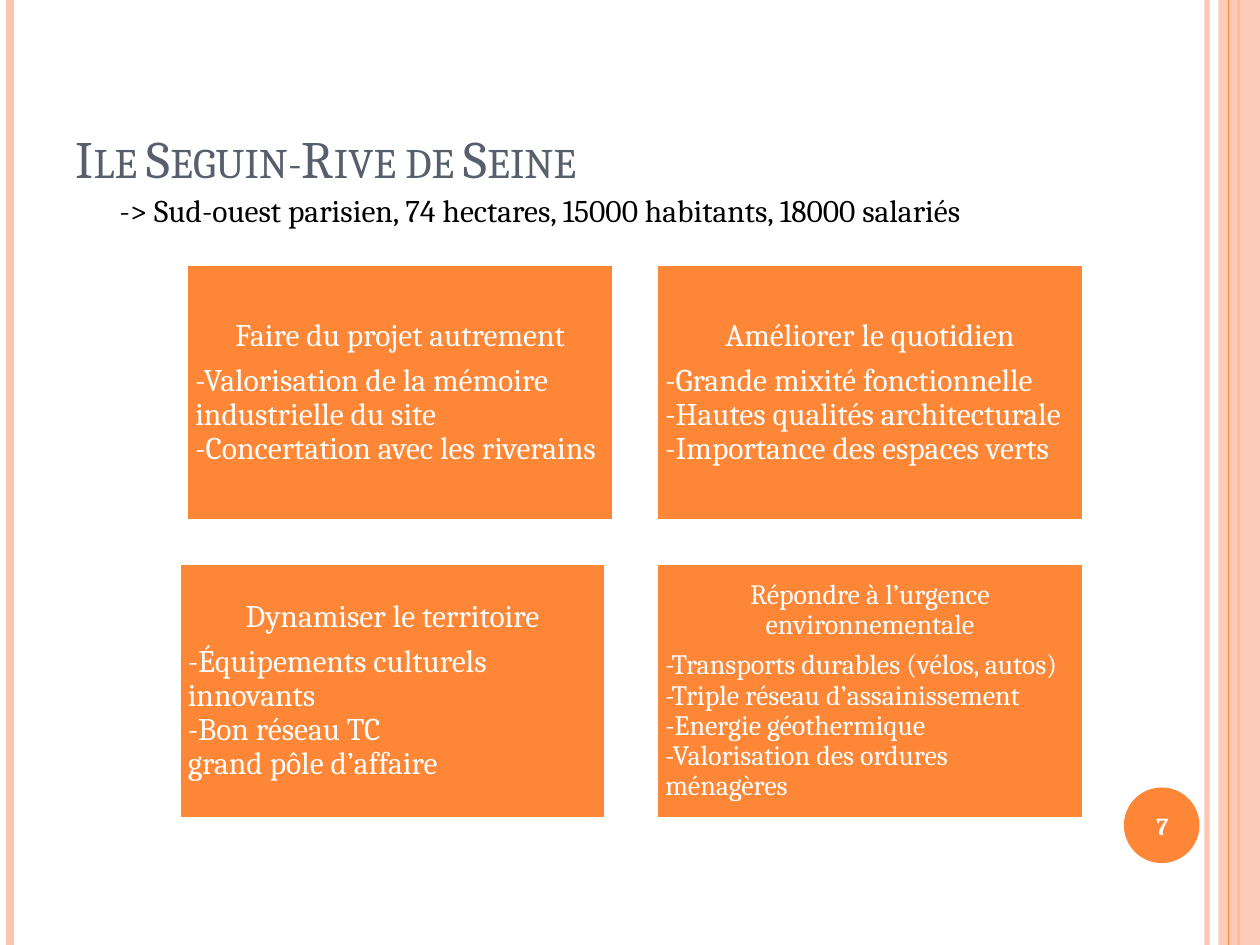
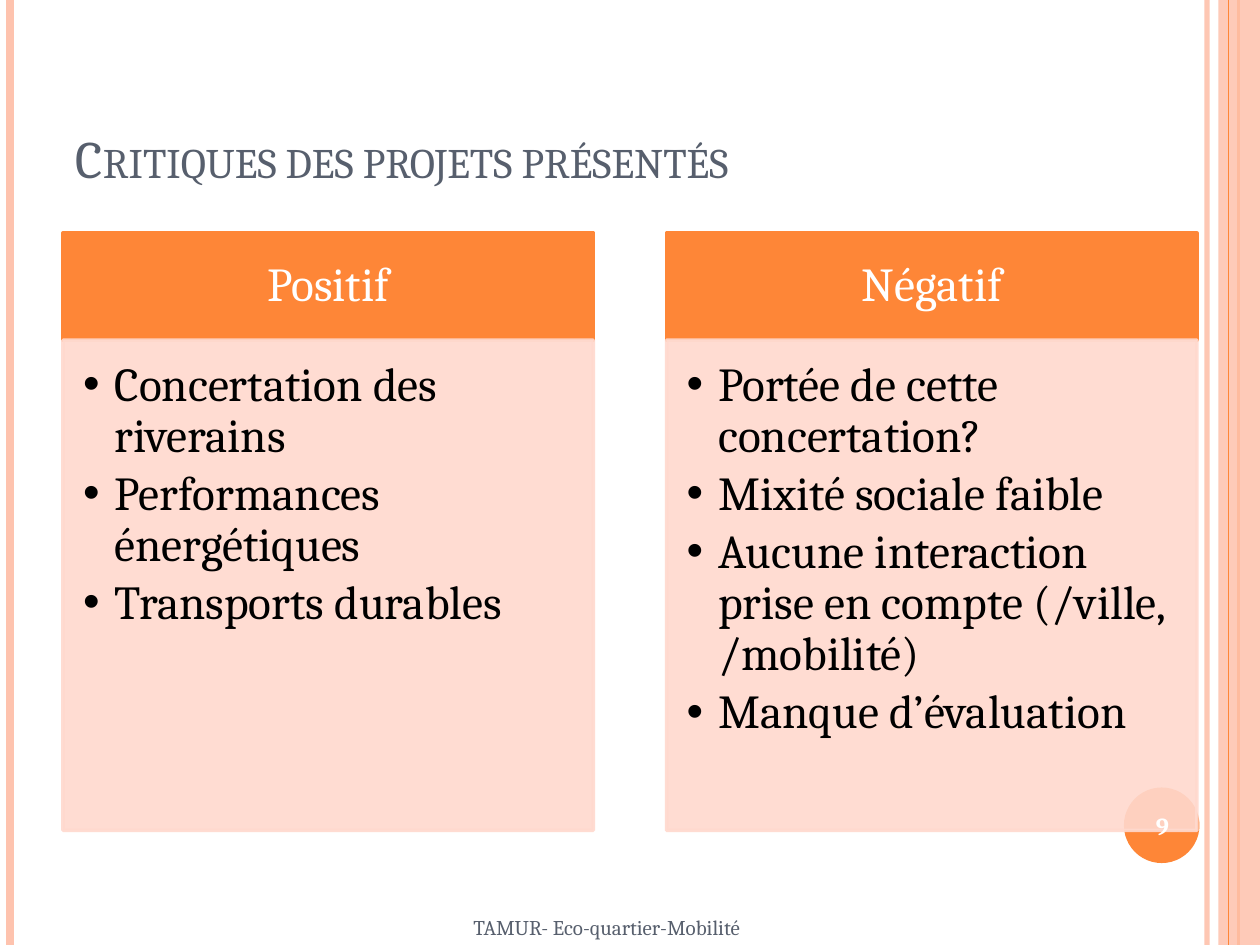
from lxml import etree
from pptx import Presentation
from pptx import util as u
from pptx.dml.color import RGBColor
from pptx.enum import shapes, text
from pptx.oxml.ns import qn

# Content
GOALS = {
    "title": "Ile Seguin-Rive de Seine",
    "summary": "-> Sud-ouest parisien, 74 hectares, 15000 habitants, 18000 salariés",
    "page": "7",
    # heading, details, text size, column, row, shift to the right
    "cards": [
        ("Faire du projet autrement",
         ["-Valorisation de la mémoire industrielle du site",
          "-Concertation avec les riverains"], 18, 0, 0, 0),
        ("Améliorer le quotidien",
         ["-Grande mixité fonctionnelle",
          "-Hautes qualités architecturale",
          "-Importance des espaces verts"], 18, 1, 0, 0),
        ("Dynamiser le territoire",
         ["-Équipements culturels innovants",
          "-Bon réseau TC",
          "grand pôle d’affaire"], 18, 0, 1, -0.06),
        ("Répondre à l’urgence environnementale",
         ["-Transports durables (vélos, autos)",
          "-Triple réseau d’assainissement",
          "-Energie géothermique",
          "-Valorisation des ordures ménagères"], 16, 1, 1, 0),
    ],
}
REVIEW = {
    "title": "Critiques des projets présentés",
    "page": "9",
    "footer": "TAMUR- Eco-quartier-Mobilité",
    "columns": [
        ("Positif", ["Concertation des riverains",
                     "Performances énergétiques",
                     "Transports durables"]),
        ("Négatif", ["Portée de cette concertation?",
                     "Mixité sociale faible",
                     "Aucune interaction prise en compte (/ville, /mobilité)",
                     "Manque d’évaluation"]),
    ],
}

# Shared style
WIDTH, HEIGHT = 10, 7.5
FONT = "Cambria"
COLORS = {"orange": "FE8637", "peach": "FEC3AE", "pale": "FFD9CE",
          "slate": "575F6D", "white": "FFFFFF", "black": "000000"}
RULES = [  # x, colour, width in points, opacity in percent
    (9.58, "peach", 3, 93), (0.08, "peach", 4.5, 100),
    (9.83, "orange", 1.5, 100), (9.75, "orange", 0.75, 100)]
CARD_GRID = {"left": 1.48, "top": 2.1, "width": 3.39, "height": 2.03,
             "step_x": 3.73, "step_y": 2.37}
COLUMN_GRID = {"left": 0.5, "top": 1.85, "width": 4.21, "step_x": 4.79,
               "head": 0.85, "list": 3.89}


def color(name):
    return RGBColor.from_string(COLORS[name])


def inches(*lengths):
    return [u.Inches(length) for length in lengths]


def place(shape, *box):
    shape.left, shape.top, shape.width, shape.height = inches(*box)


def paint(shape, fill, line=None, opacity=100):
    shape.fill.solid()
    shape.fill.fore_color.rgb = color(fill)
    if line:
        shape.line.color.rgb = color(line)
        shape.line.width = u.Pt(2)
    else:
        shape.line.fill.background()
    fade(shape, opacity)


def fade(shape, opacity):
    if opacity < 100:
        for tint in shape._element.spPr.iter(qn("a:srgbClr")):
            etree.SubElement(tint, qn("a:alpha"), val=str(opacity * 1000))


def set_frame(shape, anchor, insets=(0.1, 0.05, 0.1, 0.05)):
    frame = shape.text_frame
    frame.word_wrap = True
    frame.auto_size = text.MSO_AUTO_SIZE.NONE
    frame.vertical_anchor = anchor
    (frame.margin_left, frame.margin_top,
     frame.margin_right, frame.margin_bottom) = inches(*insets)
    return frame


def write(frame, lines, size, tint, align=text.PP_ALIGN.LEFT,
          spacing=1.0, after=0, bold=False):
    for number, line in enumerate(lines):
        paragraph = frame.add_paragraph() if number else frame.paragraphs[0]
        paragraph.text = line
        paragraph.alignment = align
        paragraph.line_spacing = spacing
        paragraph.space_before = u.Pt(0)
        paragraph.space_after = u.Pt(after)
        font = paragraph.font
        font.name, font.size, font.bold = FONT, u.Pt(size), bold
        font.color.rgb = color(tint)
    return frame.paragraphs


def indent(paragraph, left, first, bullet=None):
    props = paragraph._p.get_or_add_pPr()
    props.set("marL", str(u.Inches(left)))
    props.set("indent", str(u.Inches(first)))
    if bullet:
        mark = etree.Element(qn("a:buChar"), char=bullet)
        face = etree.Element(qn("a:buFont"), typeface="Arial")
        defaults = props.find(qn("a:defRPr"))
        defaults.addprevious(face)
        defaults.addprevious(mark)


def label(slide, box, line, size, tint, anchor=text.MSO_ANCHOR.MIDDLE, **style):
    frame = set_frame(slide.shapes.add_textbox(*inches(*box)), anchor)
    return write(frame, [line], size, tint, **style)[0]


def draw_master(prs, slide):
    """Draw the bands and the page badge, then hand them to the master."""
    decor = []
    for x, tint, width, opacity in RULES:
        rule = slide.shapes.add_connector(
            shapes.MSO_CONNECTOR.STRAIGHT, *inches(x, 0, x, HEIGHT))
        rule.line.color.rgb = color(tint)
        rule.line.width = u.Pt(width)
        etree.SubElement(rule._element.spPr, qn("a:effectLst"))
        fade(rule, opacity)
        decor.append(rule)
    for kind, box, tint, opacity in [
            (shapes.MSO_SHAPE.RECTANGLE, (9.67, 0, 0.33, HEIGHT), "peach", 87),
            (shapes.MSO_SHAPE.OVAL, (8.92, 6.25, 0.6, 0.6), "orange", 100)]:
        part = slide.shapes.add_shape(kind, *inches(*box))
        part.shadow.inherit = False
        paint(part, tint, opacity=opacity)
        decor.append(part)
    decor.insert(3, decor.pop(4))  # the side band lies under the thin rule
    for number, part in enumerate(decor, 100):
        part._element.xpath(".//p:cNvPr")[0].set("id", str(number))
        prs.slide_master.shapes._spTree.append(part._element)


def start_slide(prs, layout, content):
    slide = prs.slides.add_slide(prs.slide_layouts.get_by_name(layout))
    title = slide.shapes.title
    place(title, 0.5, 0.3, 8.17, 1.25)
    frame = set_frame(title, text.MSO_ANCHOR.BOTTOM)
    heading = write(frame, [content["title"]], 30, "slate")[0]
    heading.font._element.set("cap", "small")
    return slide


def finish_slide(slide, content):
    label(slide, (8.89, 6.27, 0.67, 0.57), content["page"], 14, "white",
          align=text.PP_ALIGN.CENTER, bold=True)
    if "footer" in content:
        label(slide, (3.66, 7.21, 4.66, 0.29), content["footer"], 12, "slate")


def build_goals(prs):
    slide = start_slide(prs, "Title Only", GOALS)
    draw_master(prs, slide)
    grid = CARD_GRID
    for heading, details, size, column, row, shift in GOALS["cards"]:
        card = slide.shapes.add_shape(shapes.MSO_SHAPE.RECTANGLE, *inches(
            grid["left"] + column * grid["step_x"] + shift,
            grid["top"] + row * grid["step_y"], grid["width"], grid["height"]))
        card.shadow.inherit = False
        paint(card, "orange", "white")
        frame = set_frame(card, text.MSO_ANCHOR.MIDDLE, [0.07] * 4)
        lines = write(frame, [heading, "\v".join(details)], size, "white",
                      spacing=0.9, after=0.35 * size)
        lines[0].alignment = text.PP_ALIGN.CENTER
    summary = label(slide, (0.35, 1.47, 9.21, 0.4), GOALS["summary"], 18,
                    "black", anchor=text.MSO_ANCHOR.TOP)
    indent(summary, 0.5, 0)
    finish_slide(slide, GOALS)


def build_review(prs):
    slide = start_slide(prs, "Comparison", REVIEW)
    grid = COLUMN_GRID
    for column, (heading, points) in enumerate(REVIEW["columns"]):
        left = grid["left"] + column * grid["step_x"]
        head = slide.placeholders[1 + 2 * column]
        place(head, left, grid["top"], grid["width"], grid["head"])
        paint(head, "orange", "orange")
        frame = set_frame(head, text.MSO_ANCHOR.MIDDLE, (0.21, 0.12, 0.21, 0.12))
        write(frame, [heading], 27, "white", text.PP_ALIGN.CENTER, 0.9)

        panel = slide.placeholders[2 + 2 * column]
        place(panel, left, grid["top"] + grid["head"], grid["width"], grid["list"])
        paint(panel, "pale", "pale", 90)
        frame = set_frame(panel, text.MSO_ANCHOR.TOP, (0.16, 0.16, 0.21, 0.24))
        for point in write(frame, points, 27, "black", spacing=0.9, after=4):
            indent(point, 0.25, -0.25, "•")
    finish_slide(slide, REVIEW)


def main():
    prs = Presentation()
    prs.slide_width, prs.slide_height = inches(WIDTH, HEIGHT)
    build_goals(prs)
    build_review(prs)
    prs.save("out.pptx")


if __name__ == "__main__":
    main()
